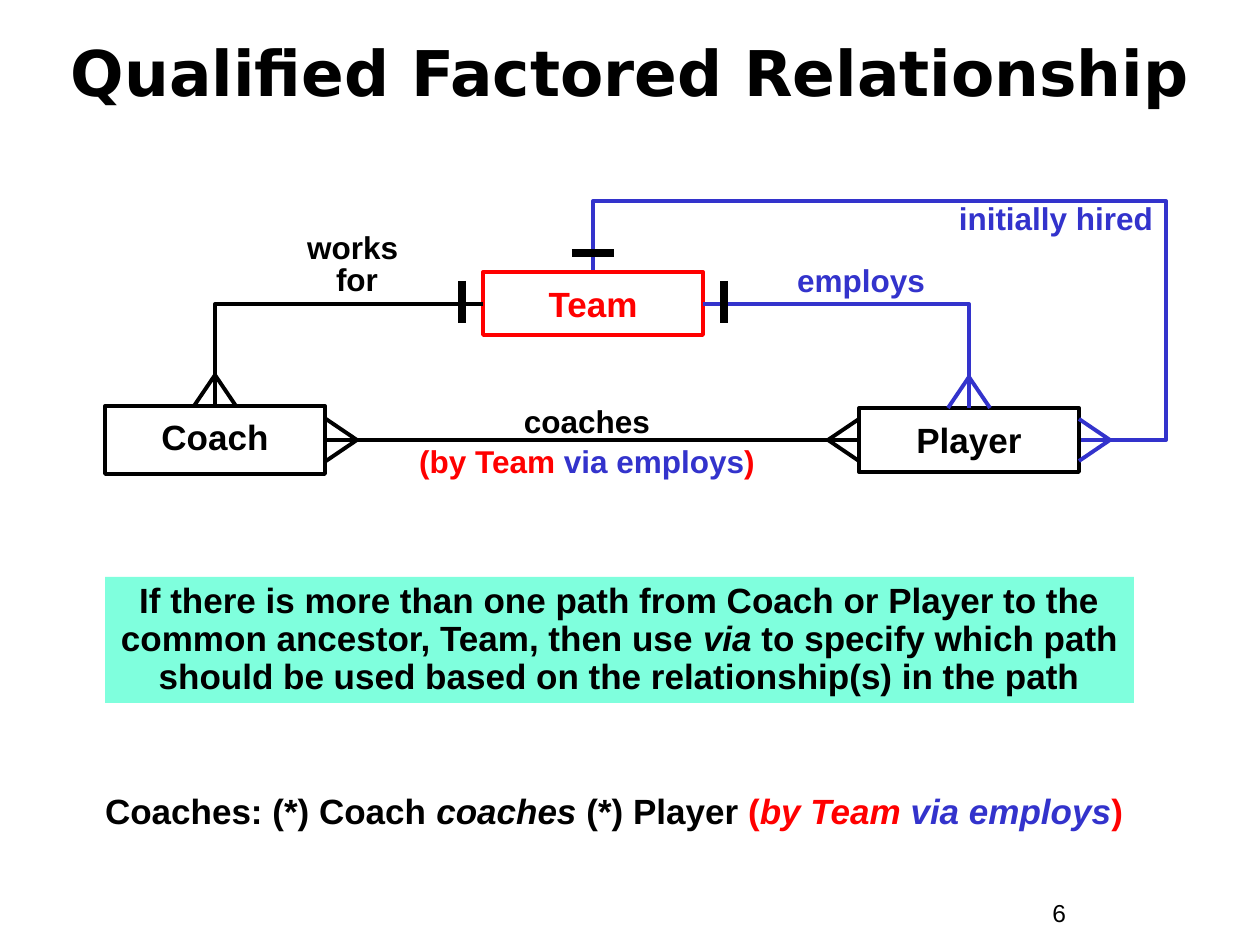
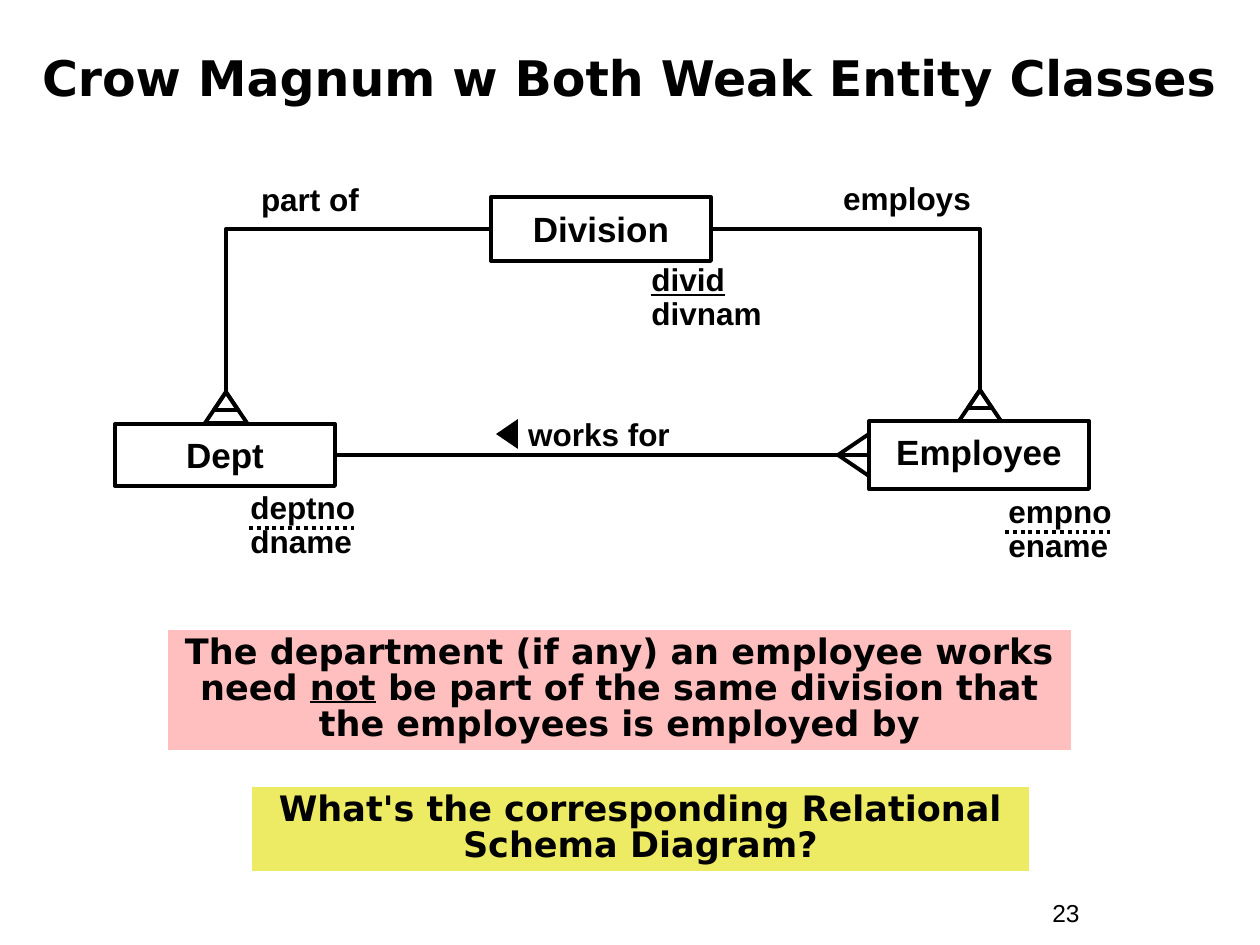
from lxml.etree import SubElement
from pptx import Presentation
from pptx.dml.color import RGBColor
from pptx.enum.dml import MSO_LINE_DASH_STYLE as DASH
from pptx.enum.shapes import MSO_CONNECTOR, MSO_SHAPE as SHAPE
from pptx.enum.text import MSO_ANCHOR as ANCHOR, MSO_AUTO_SIZE, PP_ALIGN as ALIGN
from pptx.oxml.ns import qn
from pptx.util import Pt

BLACK = RGBColor(0x00, 0x00, 0x00)
RED = RGBColor(0xFF, 0x00, 0x00)
BLUE = RGBColor(0x33, 0x33, 0xCC)
MINT = RGBColor(0x7F, 0xFF, 0xDD)
PINK = RGBColor(0xFF, 0xBF, 0xBF)
YELLOW = RGBColor(0xED, 0xEA, 0x63)

BODY_FONT = "Arial"
HEADING_FONT = "DejaVu Sans"
LINE_WIDTH = 2.25
BAR_WIDTH = 4.5
ENTITY_WIDTH = 220
FOOT_LENGTH = 31
FOOT_SPREAD = 21
BAR_REACH = 21
TOP, LEFT, BOTTOM, RIGHT = range(4)
BREAK = "\n"


def px(length):
    """Turn pixels (126 to the inch) into EMU."""
    return round(length * 914400 / 126)


# Text

def add_runs(paragraph, runs, size, color=BLACK, font=BODY_FONT, bold=True):
    """Each run is BREAK, a string, or (string, changed font attributes)."""
    for item in runs:
        if item == BREAK:
            paragraph.add_line_break()
            continue
        text, changes = (item, {}) if isinstance(item, str) else item
        run = paragraph.add_run()
        run.text = text
        run.font.name = font
        run.font.size = Pt(size)
        run.font.bold = bold
        run.font.italic = changes.get("italic")
        run.font.underline = changes.get("underline")
        run.font.color.rgb = changes.get("color", color)


def write(shape, paragraphs, size, align=ALIGN.CENTER, anchor=ANCHOR.TOP,
          spacing=None, before=0, wrap=True, **style):
    frame = shape.text_frame
    frame.word_wrap = wrap
    frame.auto_size = MSO_AUTO_SIZE.NONE
    frame.vertical_anchor = anchor
    for index, runs in enumerate(paragraphs):
        paragraph = frame.add_paragraph() if index else frame.paragraphs[0]
        paragraph.alignment = align
        paragraph.space_before = Pt(before)
        if spacing:
            paragraph.line_spacing = spacing
        add_runs(paragraph, runs, size, **style)


def add_text(slide, box, paragraphs, size=18, **options):
    shape = slide.shapes.add_textbox(*map(px, box))
    write(shape, paragraphs, size, **options)


def add_label(slide, box, *runs, spacing=0.85, color=BLACK):
    add_text(slide, box, [runs], spacing=spacing, before=11.2, color=color)


def add_attributes(slide, left, top, *names):
    add_text(slide, (left, top, 150, 81), [[name] for name in names],
             align=ALIGN.LEFT, spacing=0.9)


# Shapes

def add_shape(slide, kind, box, fill=None, line=None):
    shape = slide.shapes.add_shape(kind, *map(px, box))
    shape.shadow.inherit = False
    if fill is None:
        shape.fill.background()
    else:
        shape.fill.solid()
        shape.fill.fore_color.rgb = fill
    if line is None:
        shape.line.fill.background()
    else:
        shape.line.color.rgb = line
        shape.line.width = Pt(LINE_WIDTH)
    return shape


def add_entity(slide, left, top, height, name, line=BLACK, spacing=None):
    box = (left, top, ENTITY_WIDTH, height)
    shape = add_shape(slide, SHAPE.RECTANGLE, box, line=line)
    write(shape, [[name]], 20, anchor=ANCHOR.MIDDLE, spacing=spacing,
          before=12.5, wrap=False, color=line)
    return shape


def add_banner(slide, box, fill, *runs, spacing=0.85, font=HEADING_FONT):
    shape = add_shape(slide, SHAPE.RECTANGLE, box, fill=fill)
    write(shape, [runs], 20, spacing=spacing, before=12.5, font=font)


def add_weak_mark(slide, center, top):
    """Nested triangles that share their tip."""
    for width, height in ((42, 31), (24, 18)):
        add_shape(slide, SHAPE.ISOSCELES_TRIANGLE,
                  (center - width / 2, top, width, height), line=BLACK)


# Lines

def add_line(slide, start, end, color=BLACK, width=LINE_WIDTH, dash=None):
    line = slide.shapes.add_connector(
        MSO_CONNECTOR.STRAIGHT, *map(px, (*start, *end)))
    SubElement(line._element.spPr, qn("a:effectLst"))
    line.line.color.rgb = color
    line.line.width = Pt(width)
    if dash:
        line.line.dash_style = dash
    return line


def join(slide, left_entity, right_entity):
    line = add_line(slide, (0, 0), (0, 0))
    line.begin_connect(left_entity, RIGHT)
    line.end_connect(right_entity, LEFT)


def add_route(slide, *points, color=BLACK):
    """Open line with right-angled corners."""
    start, *others = [(px(x), px(y)) for x, y in points]
    builder = slide.shapes.build_freeform(*start)
    builder.add_line_segments(others, close=False)
    shape = builder.convert_to_shape()
    shape.shadow.inherit = False
    shape.fill.background()
    shape.line.color.rgb = color
    shape.line.width = Pt(LINE_WIDTH)


def add_crow_foot(slide, tip, across, down, color=BLACK):
    """Two toes from the tip towards the entity, along (across, down)."""
    x, y = tip
    for side in (-FOOT_SPREAD, FOOT_SPREAD):
        toe = (x + across * FOOT_LENGTH + down * side,
               y + down * FOOT_LENGTH + across * side)
        add_line(slide, tip, toe, color)


def add_bar(slide, x, y, upright=True):
    dx, dy = (0, BAR_REACH) if upright else (BAR_REACH, 0)
    add_line(slide, (x - dx, y - dy), (x + dx, y + dy), width=BAR_WIDTH)


# Slides

def start_slide(presentation, title, title_box, title_size, number):
    slide = presentation.slides.add_slide(presentation.slide_layouts[5])
    heading = slide.shapes.title
    heading.left, heading.top, heading.width, heading.height = map(px, title_box)
    write(heading, [[title]], title_size, anchor=ANCHOR.MIDDLE, font=HEADING_FONT)
    add_text(slide, (1040, 892, 116, 43), [[number]], 14,
             align=ALIGN.LEFT, bold=False)
    return slide


def build_factored_relationship(presentation):
    slide = start_slide(presentation, "Qualified Factored Relationship",
                        (42, 19, 1176, 105), 36, "6")

    # Entities and the relationship between Coach and Player
    coach = add_entity(slide, 105, 406, 68, "Coach", spacing=0.85)
    add_entity(slide, 483, 272, 63, "Team", line=RED)
    player = add_entity(slide, 859, 408, 64, "Player")
    join(slide, coach, player)

    # Relationships with Team
    add_route(slide, (215, 406), (215, 304), (483, 304))
    add_route(slide, (703, 304), (969, 304), (969, 408), color=BLUE)
    add_route(slide, (593, 270), (593, 201), (1166, 201), (1166, 440),
              (1081, 440), color=BLUE)

    # Cardinalities
    add_crow_foot(slide, (215, 375), 0, 1)
    add_crow_foot(slide, (357, 440), -1, 0)
    add_crow_foot(slide, (828, 440), 1, 0)
    add_crow_foot(slide, (969, 377), 0, 1, BLUE)
    add_crow_foot(slide, (1110, 440), -1, 0, BLUE)
    add_bar(slide, 462, 302)
    add_bar(slide, 724, 302)
    add_bar(slide, 593, 253, upright=False)

    # Relationship names
    add_label(slide, (252, 228, 210, 77), "works ", BREAK, "for")
    add_label(slide, (756, 261, 210, 45), "employs", color=BLUE)
    add_label(slide, (930, 199, 252, 45), "initially hired", color=BLUE)
    add_label(slide, (386, 394, 402, 92), "coaches", BREAK,
              ("(by Team ", {"color": RED}), ("via employs", {"color": BLUE}),
              (")", {"color": RED}), spacing=1.05)

    # Rule and its notation
    add_banner(slide, (105, 577, 1029, 126), MINT,
               "If there is more than one path from Coach or Player to the "
               "common ancestor, Team, then use ", ("via", {"italic": True}),
               " to specify which path should be used based on the "
               "relationship(s) in the path", spacing=0.9, font=BODY_FONT)
    notation = ["Coaches: (*) Coach ", ("coaches", {"italic": True}),
                " (*) Player ", ("(", {"color": RED}),
                ("by Team ", {"color": RED, "italic": True}),
                ("via employs", {"color": BLUE, "italic": True}),
                (")", {"color": RED})]
    add_text(slide, (92, 788, 1044, 50), [notation], 20, spacing=0.9,
             before=2.5, wrap=False)


def build_weak_entities(presentation):
    slide = start_slide(presentation, "Crow Magnum w Both Weak Entity Classes",
                        (25, 19, 1208, 116), 28, "23")

    # Messages
    add_banner(slide, (168, 630, 903, 120), PINK,
               "The department (if any) an employee works need ",
               ("not", {"underline": True}),
               " be part of the same division that the employees is employed by")
    add_banner(slide, (252, 787, 777, 84), YELLOW,
               "What's the corresponding Relational Schema Diagram?")

    # Entities and the relationship between Dept and Employee
    dept = add_entity(slide, 115, 424, 62, "Dept")
    add_entity(slide, 491, 197, 64, "Division")
    employee = add_entity(slide, 869, 421, 68, "Employee", spacing=0.85)
    join(slide, dept, employee)
    add_crow_foot(slide, (838, 455), 1, 0)

    # Relationships with Division
    add_route(slide, (491, 229), (226, 229), (226, 392))
    add_route(slide, (711, 229), (980, 229), (980, 390))
    add_weak_mark(slide, 226, 392)
    add_weak_mark(slide, 980, 390)

    # Relationship names
    add_label(slide, (193, 180, 234, 45), "part of")
    add_label(slide, (790, 179, 234, 45), "employs")
    add_label(slide, (494, 415, 210, 45), "works for")
    pointer = add_shape(slide, SHAPE.ISOSCELES_TRIANGLE, (492, 423, 30, 22),
                        fill=BLACK)
    pointer.rotation = 270

    # Attributes, with dotted lines under partial keys
    add_attributes(slide, 639, 258, ("divid", {"underline": True}), "divnam")
    add_attributes(slide, 238, 486, "deptno", "dname")
    add_attributes(slide, 996, 490, "empno", "ename")
    for left, y in ((249, 528), (1005, 532)):
        add_line(slide, (left, y), (left + 105, y), dash=DASH.ROUND_DOT)


def main():
    presentation = Presentation()
    presentation.slide_width = px(1260)
    presentation.slide_height = px(945)
    build_factored_relationship(presentation)
    build_weak_entities(presentation)
    presentation.save("out.pptx")


if __name__ == "__main__":
    main()
